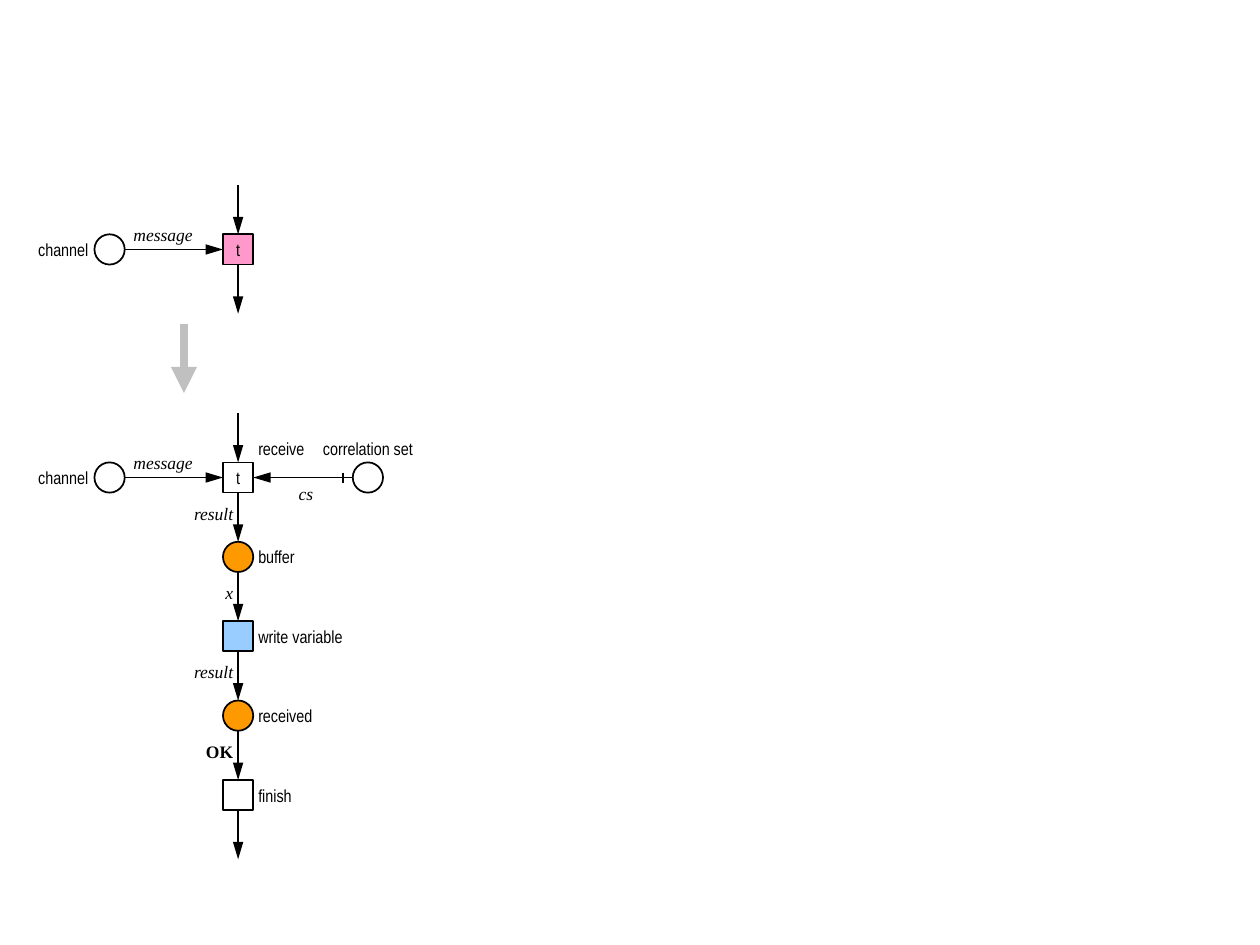
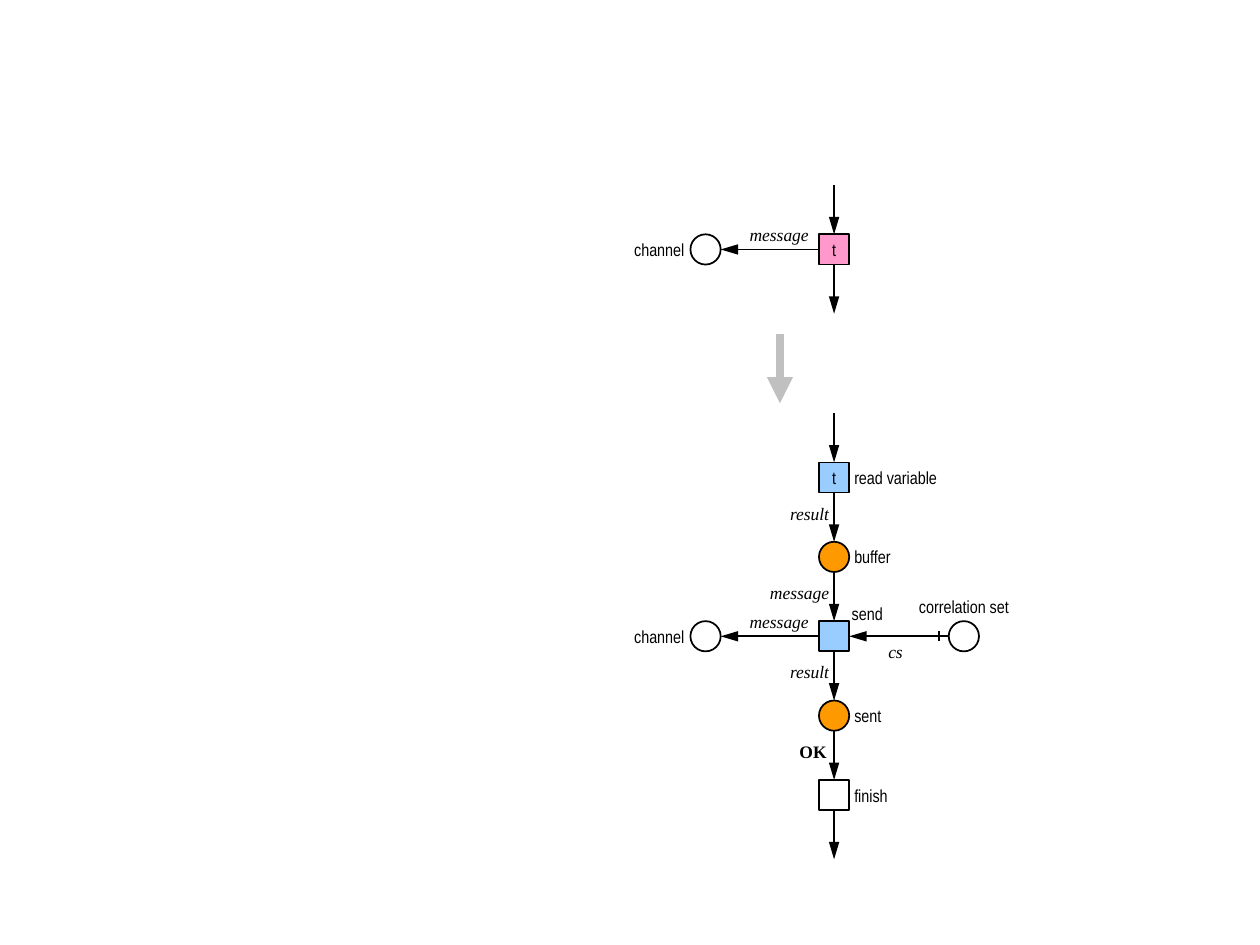
from typing import NamedTuple

from lxml.etree import SubElement
from pptx import Presentation
from pptx.dml.color import RGBColor
from pptx.enum.shapes import MSO_CONNECTOR, MSO_SHAPE
from pptx.enum.text import MSO_ANCHOR, MSO_AUTO_SIZE, PP_ALIGN
from pptx.oxml.ns import qn
from pptx.util import Emu, Pt

PX = 9144  # one px is a hundredth of an inch

BLACK = RGBColor(0x00, 0x00, 0x00)
WHITE = RGBColor(0xFF, 0xFF, 0xFF)
GREY = RGBColor(0xC0, 0xC0, 0xC0)
PINK = RGBColor(0xFF, 0x99, 0xCC)
BLUE = RGBColor(0x99, 0xCC, 0xFF)
ORANGE = RGBColor(0xFF, 0x99, 0x00)

LABEL_FONT = "Arial Narrow"
ARC_FONT = "Times New Roman"

NODE = 24
HALF = NODE // 2
ARC = 39
PITCH = NODE + ARC
LABEL_WIDTH = 90
AXIS = 146
CHANNEL_REACH = 102
CORRELATION_REACH = 103
ABSTRACT_TOP = 0
REFINED_TOP = 181

TRANSITION = MSO_SHAPE.RECTANGLE
PLACE = MSO_SHAPE.OVAL


class Step(NamedTuple):
    """A node of the flow, with the inscription of the arc that leads to it."""
    outline: MSO_SHAPE
    fill: RGBColor
    sign: str = ""
    label: str = ""
    label_shift: tuple = (0, 0)
    arc: str = ""
    arc_width: int = 0
    arc_gap: int = 4


def px(*lengths):
    return [Emu(length * PX) for length in lengths]


def write(frame, words, font_name=LABEL_FONT, align=PP_ALIGN.LEFT):
    paragraph = frame.paragraphs[0]
    paragraph.text = words
    paragraph.alignment = align
    font = paragraph.font
    font.name, font.size = font_name, Pt(10)
    font.color.rgb = BLACK
    return font


def add_label(slide, left, top, words, align=PP_ALIGN.LEFT, width=LABEL_WIDTH):
    frame = slide.shapes.add_textbox(*px(left, top, width, NODE)).text_frame
    frame.margin_left, frame.margin_right = px(4, 4)
    frame.margin_top = frame.margin_bottom = 0
    frame.vertical_anchor = MSO_ANCHOR.MIDDLE
    frame.word_wrap = True
    write(frame, words, align=align)


def add_inscription(slide, left, top, width, words, align=PP_ALIGN.LEFT):
    frame = slide.shapes.add_textbox(*px(left, top, width, 17)).text_frame
    frame.margin_left = frame.margin_right = 0
    frame.margin_top = frame.margin_bottom = 0
    frame.auto_size = MSO_AUTO_SIZE.SHAPE_TO_FIT_TEXT
    frame.word_wrap = False
    font = write(frame, words, ARC_FONT, align)
    font.bold = words == "OK"
    font.italic = words != "OK"


def add_line(slide, start, end, color=BLACK, weight=1, head_length="lg"):
    """Draw a line; head_length None leaves out the arrowhead."""
    line = slide.shapes.add_connector(MSO_CONNECTOR.STRAIGHT, *px(*start, *end))
    line.line.color.rgb = color
    line.line.width = Pt(weight)
    if head_length:
        SubElement(line.line._get_or_add_ln(), qn("a:tailEnd"),
                   type="triangle", w="med", len=head_length)
    SubElement(line._element.spPr, qn("a:effectLst"))


def add_node(slide, x, y, outline, fill, sign=""):
    """Draw a node centred at x, y."""
    node = slide.shapes.add_shape(outline, *px(x - HALF, y - HALF, NODE, NODE))
    node.shadow.inherit = False
    node.fill.solid()
    node.fill.fore_color.rgb = fill
    node.line.color.rgb = BLACK
    node.line.width = Pt(1)
    if sign:
        node.text_frame.vertical_anchor = MSO_ANCHOR.MIDDLE
        node.text_frame.word_wrap = False
        write(node.text_frame, sign, align=PP_ALIGN.CENTER)


def step_y(top, index):
    return top + ARC + HALF + index * PITCH


def add_flow(slide, axis, top, steps):
    """Stack the steps down the axis, with an arrow into each and out of the last."""
    for index, step in enumerate(steps):
        y = step_y(top, index)
        node_top = y - HALF
        arc_top = node_top - ARC
        add_line(slide, (axis, arc_top), (axis, node_top))
        add_node(slide, axis, y, step.outline, step.fill, step.sign)
        if step.arc:
            add_inscription(slide, axis - step.arc_gap - step.arc_width, arc_top + 8,
                            step.arc_width, step.arc, PP_ALIGN.RIGHT)
        if step.label:
            dx, dy = step.label_shift
            add_label(slide, axis + HALF + dx, node_top + dy, step.label)
    bottom = step_y(top, len(steps) - 1) + HALF
    add_line(slide, (axis, bottom), (axis, bottom + ARC))


def add_channel(slide, axis, y, sends, message_offset):
    x = axis - CHANNEL_REACH
    ends = [(x + HALF, y), (axis - HALF, y)]
    add_line(slide, *(reversed(ends) if sends else ends))
    add_node(slide, x, y, PLACE, WHITE)
    label_width = 55
    add_label(slide, x - HALF - 1 - label_width, y - HALF, "channel",
              PP_ALIGN.RIGHT, label_width)
    add_inscription(slide, axis - message_offset, y - 20, 47, "message")


def add_correlation_set(slide, axis, y, label_rise, cs_offset):
    x = axis + CORRELATION_REACH
    tick = x - HALF - 8
    add_line(slide, (x - HALF, y), (axis + HALF, y))
    add_line(slide, (tick, y - 4), (tick, y + 4), head_length=None)
    add_node(slide, x, y, PLACE, WHITE)
    add_inscription(slide, axis + cs_offset, y + 4, 12, "cs")
    add_label(slide, x - LABEL_WIDTH // 2, y - HALF - label_rise, "correlation set",
              PP_ALIGN.CENTER)


def add_refinement(deck, left, top, steps, linked, sends, message_offset,
                   becomes_top, label_rise, cs_offset):
    """Show a message transition above the flow that refines it."""
    slide = deck.slides.add_slide(deck.slide_layouts[6])
    axis = left + AXIS
    abstract_top, refined_top = top + ABSTRACT_TOP, top + REFINED_TOP

    add_flow(slide, axis, abstract_top, [Step(TRANSITION, PINK, "t")])
    add_channel(slide, axis, step_y(abstract_top, 0), sends, message_offset)

    becomes = axis - 43
    add_line(slide, (becomes, top + becomes_top), (becomes, top + becomes_top + 55),
             GREY, 5, "med")

    add_flow(slide, axis, refined_top, steps)
    linked_y = step_y(refined_top, linked)
    add_channel(slide, axis, linked_y, sends, message_offset)
    add_correlation_set(slide, axis, linked_y, label_rise, cs_offset)


RECEIVE_STEPS = [
    Step(TRANSITION, WHITE, "t", "receive", (0, -23)),
    Step(PLACE, ORANGE, label="buffer", arc="result", arc_width=32),
    Step(TRANSITION, BLUE, label="write variable", arc="x", arc_width=6),
    Step(PLACE, ORANGE, label="received", arc="result", arc_width=32),
    Step(TRANSITION, WHITE, label="finish", arc="OK", arc_width=22),
]
SEND_STEPS = [
    Step(TRANSITION, BLUE, "t", "read variable"),
    Step(PLACE, ORANGE, label="buffer", arc="result", arc_width=32),
    Step(TRANSITION, BLUE, label="send", label_shift=(-2, -18),
         arc="message", arc_width=47),
    Step(PLACE, ORANGE, label="sent", arc="result", arc_width=32),
    Step(TRANSITION, WHITE, label="finish", arc="OK", arc_width=22, arc_gap=6),
]


def main():
    deck = Presentation()
    deck.slide_width, deck.slide_height = px(1000, 750)
    add_refinement(deck, 43, 147, RECEIVE_STEPS, linked=0, sends=False,
                   message_offset=83, becomes_top=110, label_rise=23, cs_offset=48)
    add_refinement(deck, 516, 147, SEND_STEPS, linked=2, sends=True,
                   message_offset=67, becomes_top=118, label_rise=24, cs_offset=43)
    deck.save("out.pptx")


if __name__ == "__main__":
    main()
